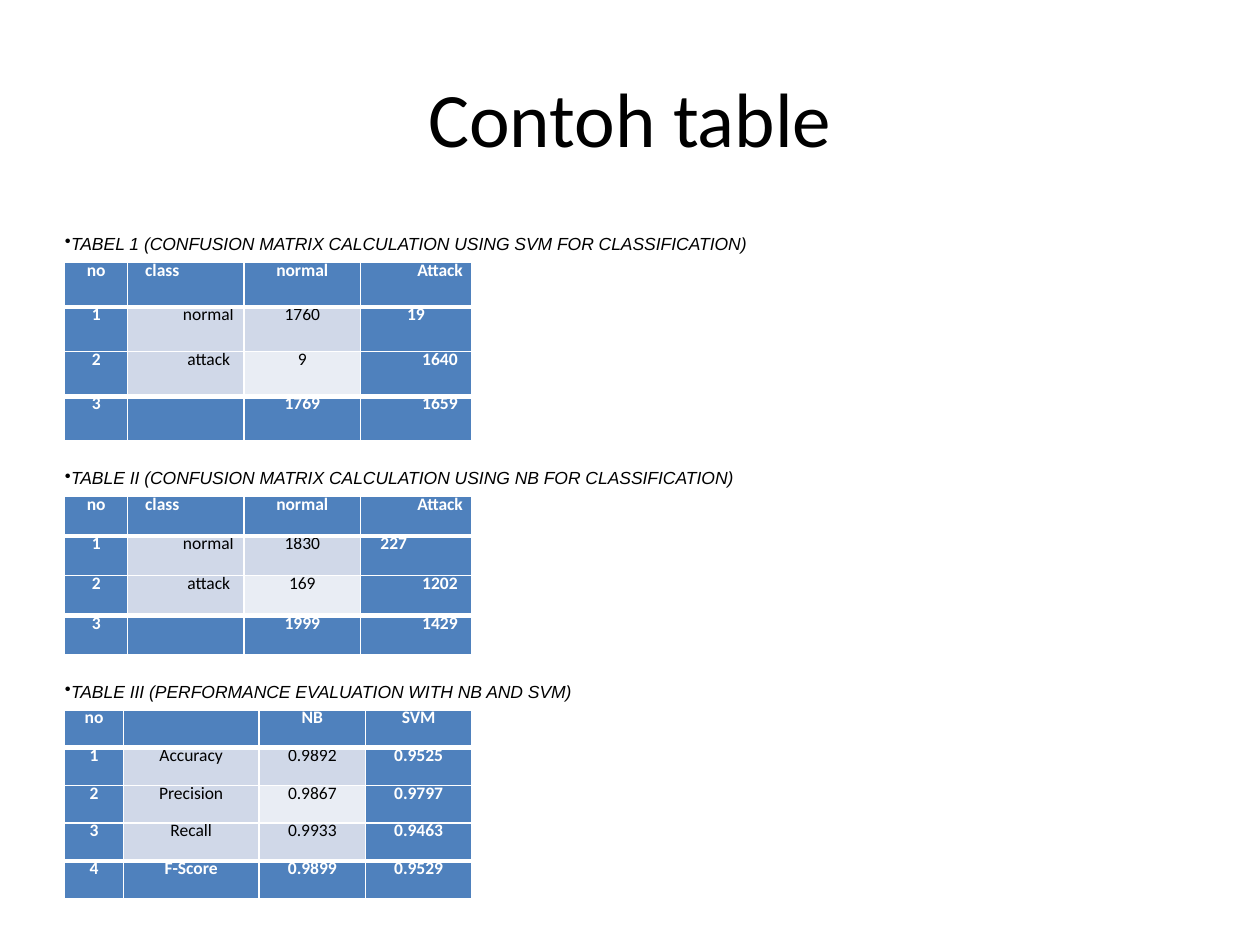
from pptx import Presentation
from pptx.dml.color import RGBColor
from pptx.enum.text import MSO_ANCHOR, PP_ALIGN
from pptx.oxml import parse_xml
from pptx.oxml.ns import nsdecls
from pptx.util import Pt

LEFT, MID, RIGHT = PP_ALIGN.LEFT, PP_ALIGN.CENTER, PP_ALIGN.RIGHT
TOP, CENTRE = MSO_ANCHOR.TOP, MSO_ANCHOR.MIDDLE
HEX = {"ink": "000000", "white": "FFFFFF", "blue": "4F81BD",
       "band": "D0D8E8", "pale": "E9EDF4"}


class Deck:
    def __init__(self):
        self.prs = Presentation()
        self.prs.slide_width, self.prs.slide_height = Pt(720), Pt(540)
        self.slide = self.prs.slides.add_slide(self.prs.slide_layouts[5])

    def font(self, para, size, name="Calibri", ink="ink", bold=False, slant=False):
        font = para.font
        font.size, font.name, font.bold, font.italic = Pt(size), name, bold, slant
        font.color.rgb = RGBColor.from_string(HEX[ink])

    def place(self, shape, x, y, w, h):
        shape.left, shape.top, shape.width, shape.height = map(Pt, (x, y, w, h))

    def title(self, text):
        shape = self.slide.shapes.title
        self.place(shape, 36, 21.6, 648, 90)
        frame = shape.text_frame
        frame.text, frame.vertical_anchor = text, CENTRE
        para = frame.paragraphs[0]
        para.alignment = MID
        self.font(para, 44)

    def label(self, text, x, y):
        box = self.slide.shapes.add_textbox(Pt(x), Pt(y), Pt(720), Pt(36))
        frame = box.text_frame
        frame.word_wrap, frame.vertical_anchor = True, TOP
        frame.margin_top = Pt(1.5)
        para = frame.paragraphs[0]
        para.text = text
        props = para._p.get_or_add_pPr()
        props.set("marL", "0")
        props.set("indent", str(Pt(10)))
        props.append(parse_xml(f'<a:buChar {nsdecls("a")} char="&#8226;"/>'))
        self.font(para, 10, "Arial", slant=True)

    def edge(self, cell, widths):
        props = cell._tc.get_or_add_tcPr()
        for side, width in zip("LRTB", widths):
            props.append(parse_xml(
                f'<a:ln{side} {nsdecls("a")} w="{Pt(width)}"><a:solidFill>'
                f'<a:srgbClr val="{HEX["white"]}"/></a:solidFill></a:ln{side}>'))

    def cell(self, cell, text, fill, bold, rule, widths):
        align, left, right = rule
        self.edge(cell, widths)
        cell.fill.solid()
        cell.fill.fore_color.rgb = RGBColor.from_string(HEX[fill])
        cell.margin_top = cell.margin_bottom = 0
        cell.margin_left, cell.margin_right = Pt(left), Pt(right)
        para = cell.text_frame.paragraphs[0]
        para.text, para.alignment, para.line_spacing = text, align, Pt(10.5)
        self.font(para, 10, ink="white" if bold else "ink", bold=bold)

    def table(self, y, cols, high, rows, rules):
        last, end = len(rows) - 1, len(cols) - 1
        frame = self.slide.shapes.add_table(
            len(rows), len(cols), Pt(37), Pt(y), Pt(sum(cols)), Pt(high * len(rows)))
        table = frame.table
        table.first_row = table.horz_banding = False
        for col, width in zip(table.columns, cols):
            col.width = Pt(width)
        for r, row in enumerate(rows):
            table.rows[r].height = Pt(high)
            widths = (1, 1, 3 if r in (1, last) else 1, 3 if r in (0, last - 1) else 1)
            for c, text in enumerate(row):
                bold = r in (0, last) or c in (0, end)
                fill = "blue" if bold else "pale" if c == 2 and r % 2 == 0 else "band"
                rule = rules.get((r, c), (MID, 0, 0))
                self.cell(table.cell(r, c), text, fill, bold, rule, widths)


deck = Deck()
deck.title("Contoh table")

head = ["no", "class", "normal", "Attack"]
wide = [36, 66.5, 66.5, 63.5]
rules = {(0, 1): (LEFT, 10, 0), (0, 3): (RIGHT, 0, 5), (1, 1): (RIGHT, 0, 6),
         (2, 1): (RIGHT, 0, 8), (2, 3): (RIGHT, 0, 8), (3, 3): (RIGHT, 0, 8)}

tables = [
    ("TABEL 1 (CONFUSION MATRIX CALCULATION USING SVM FOR CLASSIFICATION)",
     131.8, 150, wide, 25.5,
     [head, ["1", "normal", "1760", "19"], ["2", "attack", "9", "1640"],
      ["3", "", "1769", "1659"]], rules),
    ("TABLE II (CONFUSION MATRIX CALCULATION USING NB FOR CLASSIFICATION)",
     265.6, 283.6, wide, 22.7,
     [head, ["1", "normal", "1830", "227"], ["2", "attack", "169", "1202"],
      ["3", "", "1999", "1429"]], {**rules, (1, 3): (LEFT, 11.5, 0)}),
    ("TABLE III (PERFORMANCE EVALUATION WITH NB AND SVM)",
     387.6, 405.6, [33.5, 77.5, 61, 60.5], 21.6,
     [["no", "", "NB", "SVM"], ["1", "Accuracy", "0.9892", "0.9525"],
      ["2", "Precision", "0.9867", "0.9797"], ["3", "Recall", "0.9933", "0.9463"],
      ["4", "F-Score", "0.9899", "0.9529"]], {}),
]
for text, top, y, cols, high, rows, marks in tables:
    deck.table(y, cols, high, rows, marks)
    deck.label(text, 20, top)

deck.prs.save("out.pptx")
